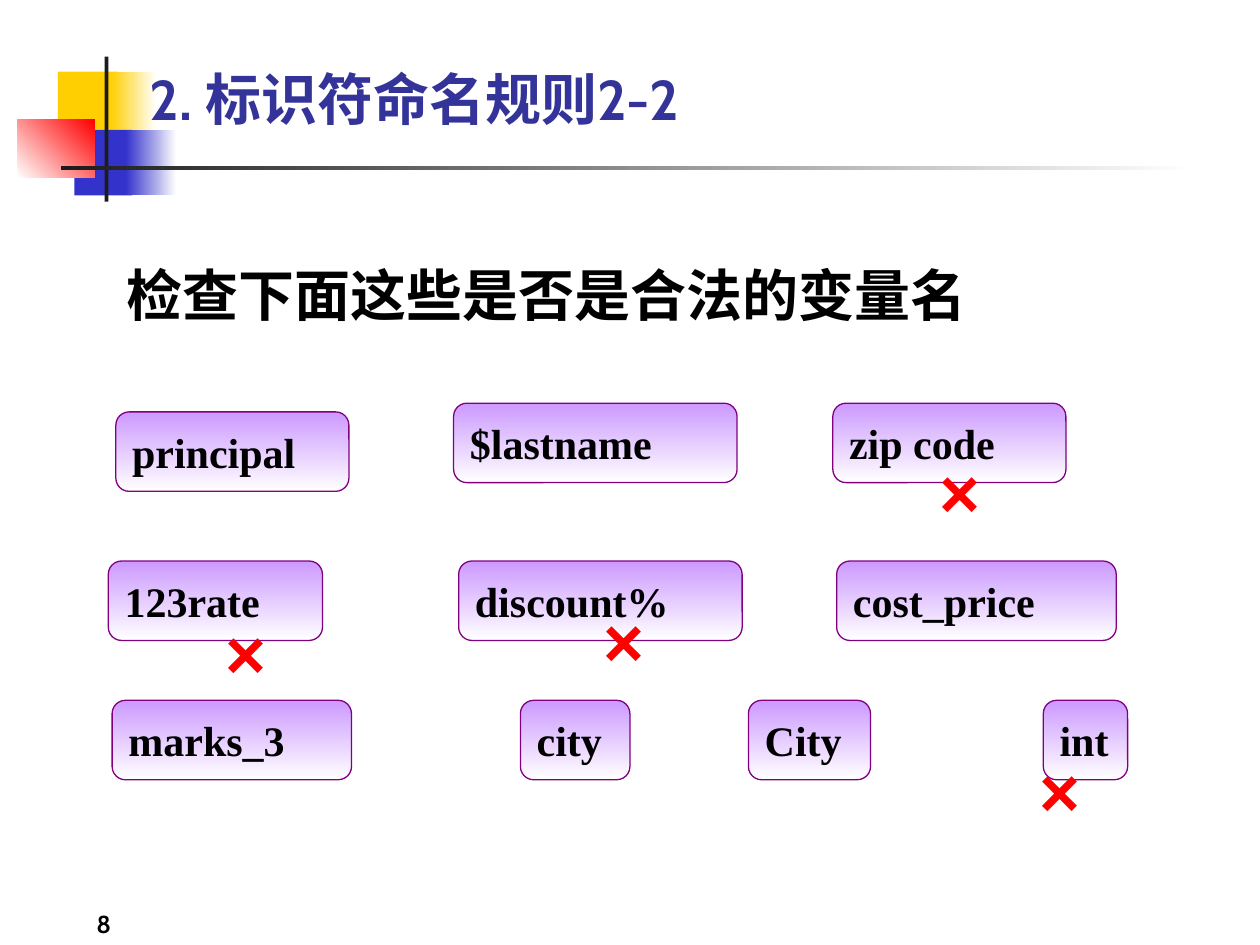
import pptx
import pptx.dml.color
import pptx.enum.shapes
import pptx.enum.text
import pptx.util
from lxml import etree

Pt = pptx.util.Pt
RGB = pptx.dml.color.RGBColor.from_string
SHAPE = pptx.enum.shapes.MSO_SHAPE
ALIGN = pptx.enum.text.PP_ALIGN
ANCHOR = pptx.enum.text.MSO_ANCHOR

COLORS = {
    "yellow": "FFCF01", "blue": "3333CC", "red": "FF0000", "dark": "1C1C1C",
    "white": "FFFFFF", "black": "000000", "title": "333399",
    "lilac": "CC99FF", "purple": "800080",
}


def add_filled(kind, box, start, end=None, angle=0):
    """Add a shape with a solid fill, or a gradient at a counter-clockwise angle."""
    shape = slide.shapes.add_shape(kind, *[Pt(value) for value in box])
    shape.shadow.inherit = False
    shape.line.fill.background()
    if end is None:
        shape.fill.solid()
        shape.fill.fore_color.rgb = RGB(COLORS[start])
    else:
        shape.fill.gradient()
        shape.fill.gradient_angle = angle
        for stop, color, position in zip(shape.fill.gradient_stops, (start, end), (0, 1)):
            stop.color.rgb = RGB(COLORS[color])
            stop.position = position
    return shape


def write(shape, text, font_name, size, color, align=ALIGN.LEFT, anchor=ANCHOR.TOP, wrap=True):
    """Set one bold paragraph in a shape."""
    frame = shape.text_frame
    frame.text = text
    frame.word_wrap = wrap
    frame.auto_size = pptx.enum.text.MSO_AUTO_SIZE.NONE
    frame.vertical_anchor = anchor
    paragraph = frame.paragraphs[0]
    paragraph.alignment = align
    paragraph.space_before = Pt(0)
    font = paragraph.runs[0].font
    font.name, font.size, font.bold = font_name, Pt(size), True
    font.color.rgb = RGB(COLORS[color])
    return paragraph


presentation = pptx.Presentation()
presentation.slide_width, presentation.slide_height = Pt(720), Pt(540)
slide = presentation.slides.add_slide(presentation.slide_layouts[1])
title, body = slide.shapes.title, slide.placeholders[1]

# Corner decoration: left, top, width, height, colours, angle
decoration = [
    ((33.1, 41, 34.6, 37.4), "yellow", None, 0),
    ((63.4, 41, 25.9, 37.4), "yellow", "white", 0),
    ((42.5, 74.2, 33.1, 37.4), "blue", None, 0),
    ((72, 74.2, 28.8, 37.4), "blue", "white", 0),
    ((10.1, 68.4, 43.9, 33.1), "white", "red", 45),
    ((59.8, 32.4, 2.2, 82.8), "dark", None, 0),
    ((34.6, 95, 648, 2.2), "dark", "white", 0),
]
for box, start, end, angle in decoration:
    add_filled(SHAPE.RECTANGLE, box, start, end, angle)

# Title, brought in front of the decoration
title.left, title.top, title.width, title.height = Pt(78.5), Pt(31), Pt(523.4), Pt(49.7)
write(title, "2. 标识符命名规则2-2", "Cabin", 32, "title", anchor=ANCHOR.MIDDLE)
slide.shapes._spTree.append(title._element)

# Question, without a bullet
body.left, body.top, body.width, body.height = Pt(64.8), Pt(145.4), Pt(625.7), Pt(356.4)
paragraph = write(body, "检查下面这些是否是合法的变量名", "Cabin", 32, "black")
properties = paragraph._p.get_or_add_pPr()
properties.set("marL", str(Pt(48.2)))
properties.set("indent", str(-Pt(48.2)))
etree.SubElement(properties, pptx.oxml.ns.qn("a:buNone"))

# Slide number
number = slide.shapes.add_textbox(Pt(0), Pt(504), Pt(70.6), Pt(36))
write(number, "8", "Cabin", 14, "black", ALIGN.RIGHT, ANCHOR.BOTTOM)

# Candidate names: text, left, top, width
names = [
    ("principal", 66.2, 235.4, 133.2),
    ("$lastname", 259.2, 230.4, 162),
    ("zip code", 475.9, 230.4, 133.2),
    ("123rate", 61.9, 320.6, 122.4),
    ("discount%", 262.1, 320.6, 162),
    ("cost_price", 478.1, 320.6, 159.8),
    ("marks_3", 64.1, 400.2, 136.8),
    ("city", 297.4, 400.2, 62.6),
    ("City", 427.7, 400.2, 69.8),
    ("int", 596.2, 400.2, 48.2),
]
for text, left, top, width in names:
    box = add_filled(SHAPE.ROUNDED_RECTANGLE, (left, top, width, 45.4), "lilac", "white", 270)
    box.line.color.rgb = RGB(COLORS["purple"])
    box.line.width = Pt(0.75)
    write(box, text, "Times New Roman", 24, "black", anchor=ANCHOR.MIDDLE, wrap=False)

# Crosses on the illegal names
for left, top in [(529.9, 252.7), (121.7, 344.9), (337.7, 337.7), (586.8, 423.4)]:
    cross = slide.shapes.add_textbox(Pt(left), Pt(top), Pt(73.4), Pt(55.4))
    write(cross, "×", "Arial", 40, "red")

presentation.save("out.pptx")
